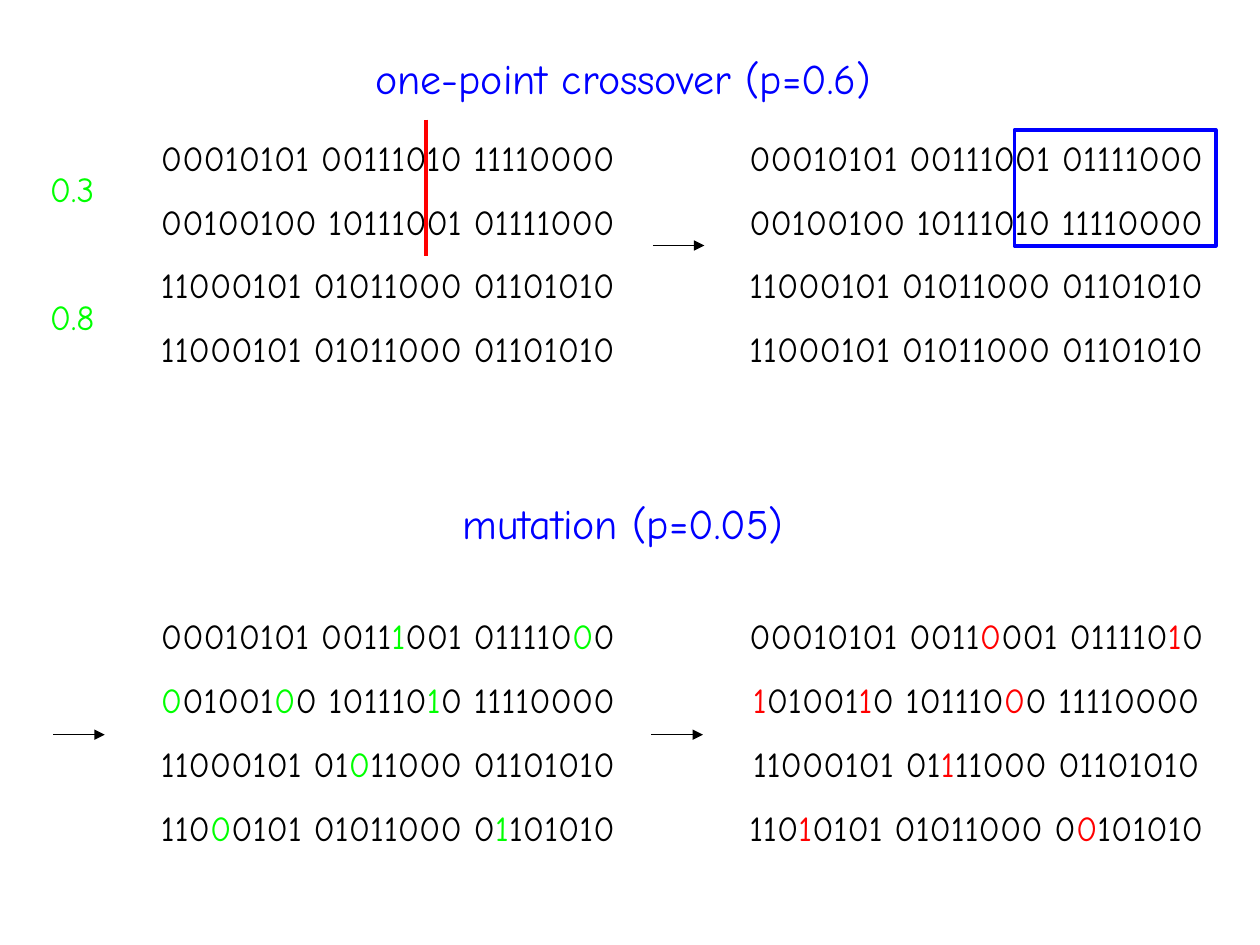
from lxml.etree import SubElement
from pptx import Presentation
from pptx.dml.color import RGBColor
from pptx.enum.shapes import MSO_CONNECTOR as Link, MSO_SHAPE as Shape
from pptx.enum.text import MSO_ANCHOR as Anchor, MSO_AUTO_SIZE as Fit, PP_ALIGN as Align
from pptx.oxml.ns import qn
from pptx.util import Cm, Pt

FONT = "Comic Neue"
COLORS = {"ink": "000000", "blue": "0000FF", "red": "FF0000", "green": "00FF00"}
LEFT, RIGHT = 2.74, 14.6
WIDTH, HEIGHT = 10.16, 4.98

# Bars enclose the bits that mutate.
PARENTS = ["00010101 00111010 11110000", "00100100 10111001 01111000",
           "11000101 01011000 01101010", "11000101 01011000 01101010"]
CROSSED = ["00010101 00111001 01111000", "00100100 10111010 11110000"] + PARENTS[2:]
BEFORE = ["00010101 0011|1|001 011110|0|0", "|0|01001|0|0 101110|1|0 11110000",
          "11000101 01|0|11000 01101010", "110|0|0101 01011000 0|1|101010"]
AFTER = ["00010101 0011|0|001 011110|1|0", "|1|01001|1|0 101110|0|0 11110000",
         "11000101 01|1|11000 01101010", "110|1|0101 01011000 0|0|101010"]


def color(name):
    return RGBColor.from_string(COLORS[name])


def write(shape, lines, size, base, mark="ink"):
    """Fill a shape with centred lines; parts between bars take the mark colour."""
    frame = shape.text_frame
    frame.word_wrap = True
    frame.auto_size = Fit.NONE
    frame.vertical_anchor = Anchor.TOP
    for i, line in enumerate(lines):
        para = frame.add_paragraph() if i else frame.paragraphs[0]
        para.alignment = Align.CENTER
        para.space_before = Pt(12.5 if i else 0)
        for j, part in enumerate(line.split("|")):
            if part:
                run = para.add_run()
                run.text = part
                run.font.name = FONT
                run.font.size = Pt(size)
                run.font.color.rgb = color(mark if j % 2 else base)


def add_text(slide, x, y, w, h, lines, size=20, base="ink", mark="ink"):
    box = slide.shapes.add_textbox(Cm(x), Cm(y), Cm(w), Cm(h))
    write(box, lines, size, base, mark)


def add_line(slide, x1, y1, x2, y2, name, width):
    line = slide.shapes.add_connector(Link.STRAIGHT, Cm(x1), Cm(y1), Cm(x2), Cm(y2))
    line.line.color.rgb = color(name)
    line.line.width = Pt(width)
    SubElement(line._element.spPr, qn("a:effectLst"))
    return line


def add_arrow(slide, x, y):
    line = add_line(slide, x, y, x + 1.04, y, "ink", 0.75)
    SubElement(line.line._get_or_add_ln(), qn("a:tailEnd"), type="triangle")


def add_cross(slide, x, y):
    """Crossover: title, parents with their draws, cut line and children."""
    title = slide.shapes.title
    title.left, title.top = Cm(x + 6.35), Cm(y)
    title.width, title.height = Cm(12.7), Cm(1.28)
    write(title, ["one-point crossover (p=0.6) "], 24, "blue")

    top = y + 1.68
    add_text(slide, x + LEFT, top, WIDTH, HEIGHT, PARENTS)
    for i, draw in enumerate(["0.3", "0.8"]):
        add_text(slide, x + 0.64, top + 0.63 + 2.59 * i, 1.63, 1.07, [draw], base="green")
    add_line(slide, x + 8.59, y + 1.47, x + 8.59, y + 4.22, "red", 2)
    add_arrow(slide, x + 13.16, y + 4.01)
    add_text(slide, x + RIGHT, top, WIDTH, HEIGHT, CROSSED)

    swap = slide.shapes.add_shape(Shape.RECTANGLE, Cm(x + 20.45), Cm(top), Cm(4.06), Cm(2.34))
    swap.shadow.inherit = False
    swap.fill.background()
    swap.line.color.rgb = color("blue")
    swap.line.width = Pt(2)


def add_mutate(slide, x, y):
    """Mutation: heading, strings before and after, and their arrows."""
    add_text(slide, x + 6.35, y, 12.7, 1.28, ["mutation (p=0.05) "], 24, "blue")
    parts = [(LEFT, 1.07, BEFORE, "green"), (RIGHT, 13.13, AFTER, "red")]
    for left, start, lines, mark in parts:
        add_arrow(slide, x + start, y + 4.9)
        add_text(slide, x + left, y + 2.36, WIDTH, HEIGHT, lines, mark=mark)


def main():
    deck = Presentation()
    deck.slide_width, deck.slide_height = Cm(25.4), Cm(19.05)
    slide = deck.slides.add_slide(deck.slide_layouts[5])
    add_cross(slide, 0, 0.94)
    add_mutate(slide, 0, 9.91)
    deck.save("out.pptx")


if __name__ == "__main__":
    main()
